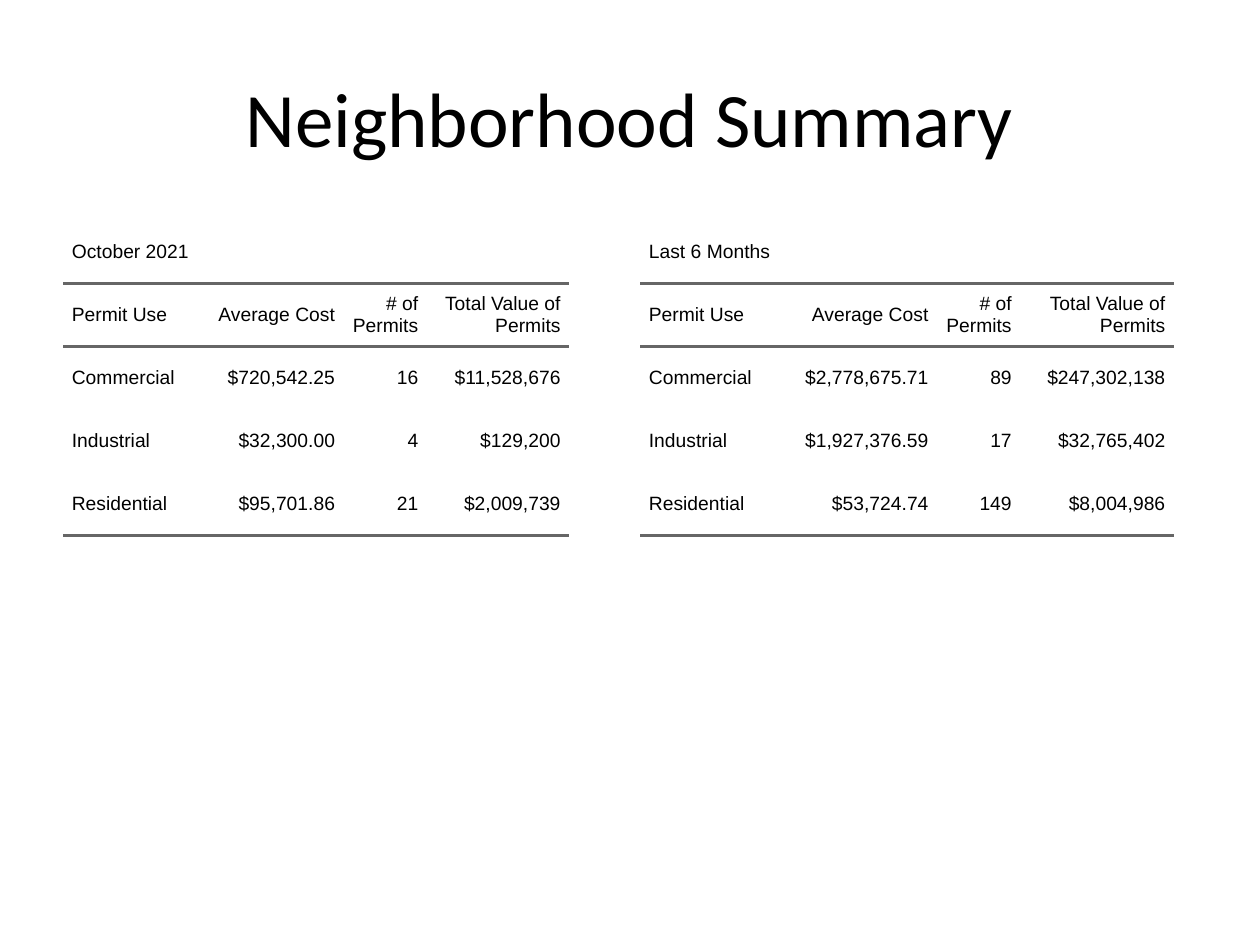
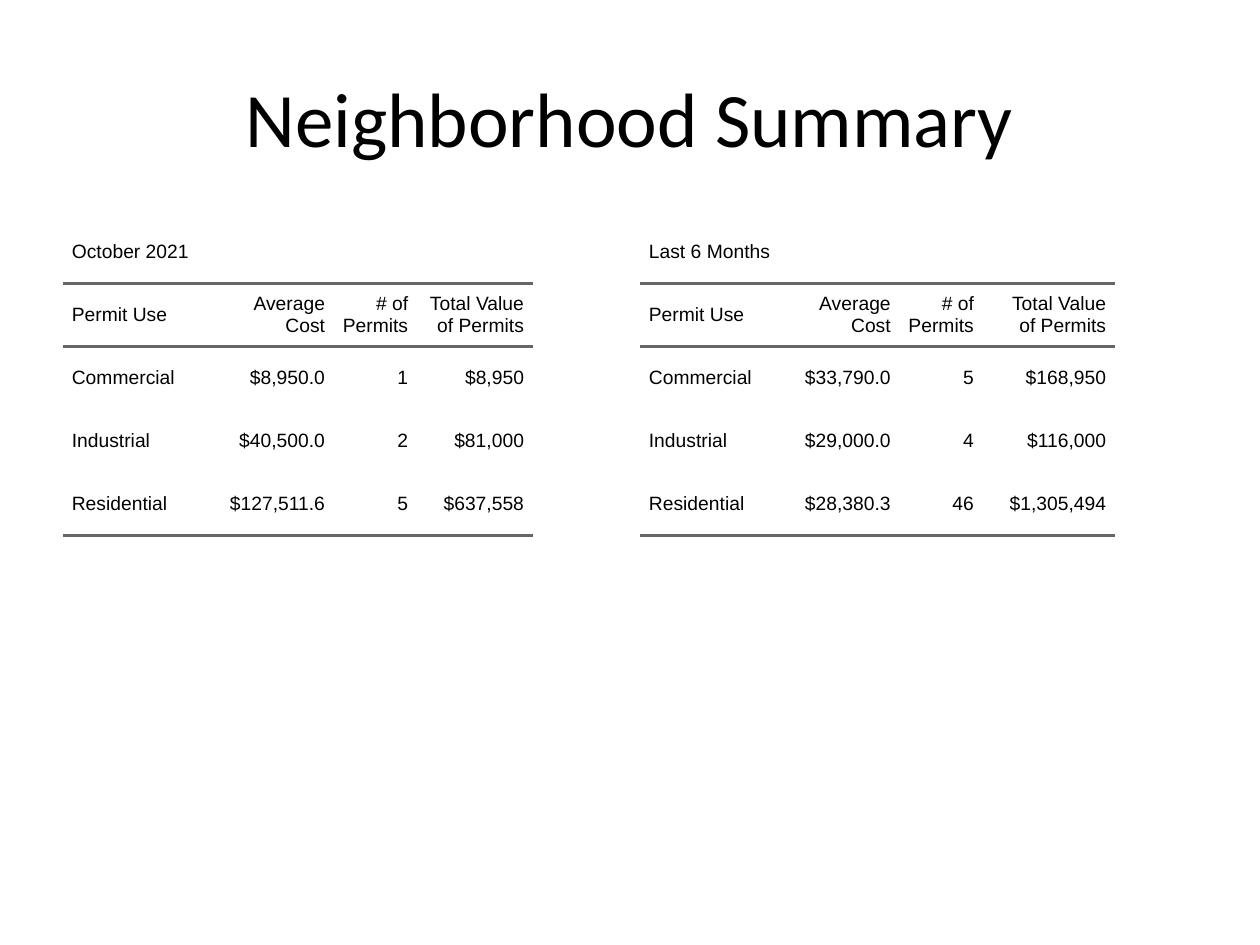
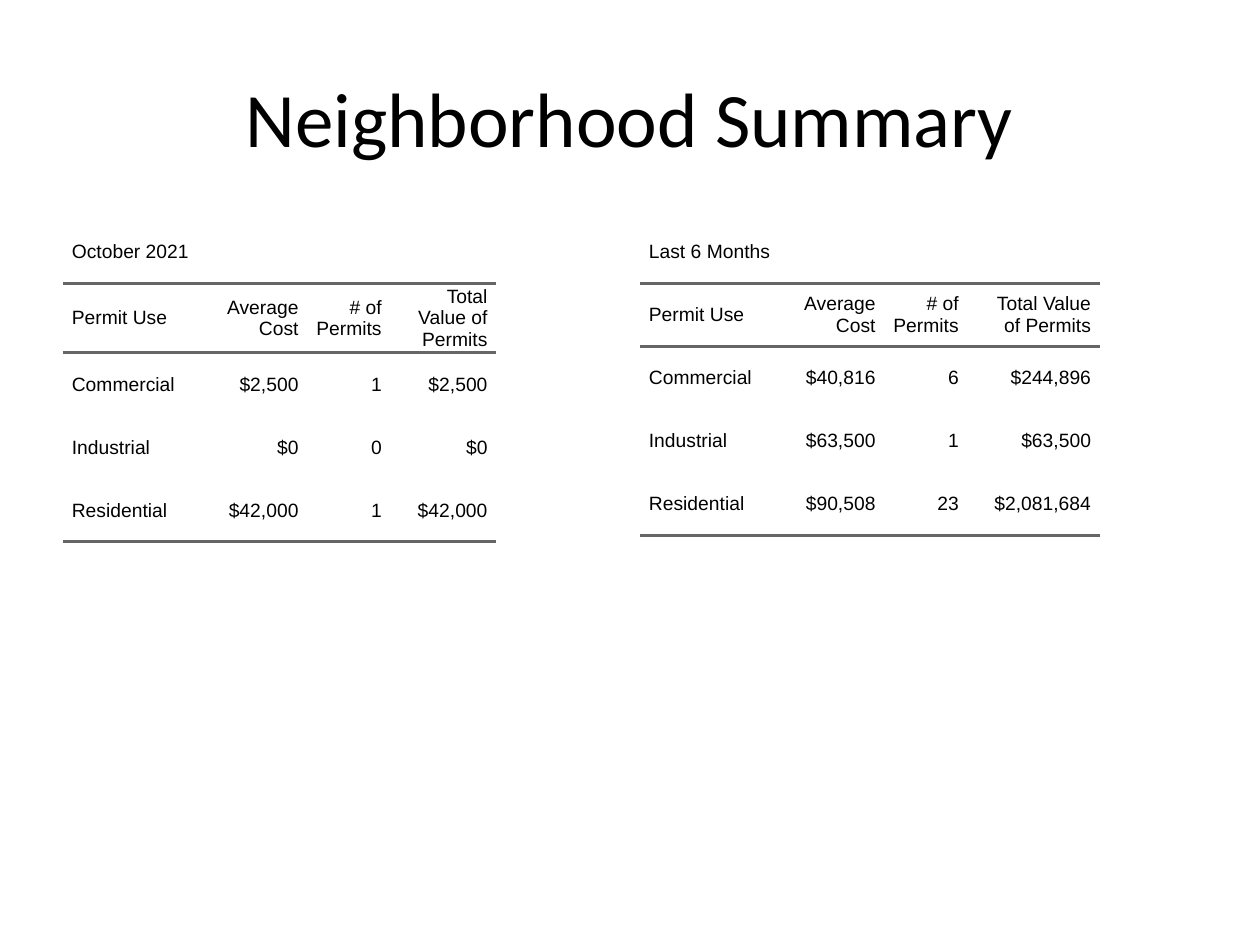
from lxml.etree import SubElement
from pptx import Presentation
from pptx.dml.color import RGBColor
from pptx.enum.text import MSO_ANCHOR as Anchor, PP_ALIGN as Align
from pptx.oxml.ns import qn
from pptx.util import Inches, Pt

COLORS = {"text": "000000", "rule": "666666"}
HEADINGS = ["Permit Use", "Average Cost", "# of Permits", "Total Value of Permits"]
USES = ["Commercial", "Industrial", "Residential"]
PERIODS = [("October 2021", 0.5), ("Last 6 Months", 5.08)]
USE_WIDTH, COUNT_WIDTH = 1.1, 0.66
ROW_HEIGHT = 0.5
NO_GRID_STYLE = "{2D5ABB26-0587-4C30-8999-92F81FD0307C}"

NEIGHBORHOODS = [
    [
        (1.13, 1.13, [("$720,542.25", "16", "$11,528,676"),
                      ("$32,300.00", "4", "$129,200"),
                      ("$95,701.86", "21", "$2,009,739")]),
        (1.26, 1.22, [("$2,778,675.71", "89", "$247,302,138"),
                      ("$1,927,376.59", "17", "$32,765,402"),
                      ("$53,724.74", "149", "$8,004,986")]),
    ],
    [
        (1.05, 0.92, [("$8,950.0", "1", "$8,950"),
                      ("$40,500.0", "2", "$81,000"),
                      ("$127,511.6", "5", "$637,558")]),
        (0.96, 1.05, [("$33,790.0", "5", "$168,950"),
                      ("$29,000.0", "4", "$116,000"),
                      ("$28,380.3", "46", "$1,305,494")]),
    ],
    [
        (0.84, 0.84, [("$2,500", "1", "$2,500"),
                      ("$0", "0", "$0"),
                      ("$42,000", "1", "$42,000")]),
        (0.84, 1.05, [("$40,816", "6", "$244,896"),
                      ("$63,500", "1", "$63,500"),
                      ("$90,508", "23", "$2,081,684")]),
    ],
]


class PermitDeck:
    def __init__(self):
        self.deck = Presentation()
        self.deck.slide_width = Inches(10)
        self.deck.slide_height = Inches(7.5)
        self.slide = None

    def add_slide(self):
        self.slide = self.deck.slides.add_slide(self.deck.slide_layouts[6])

    def style(self, paragraph, font_name, size, align):
        paragraph.alignment = align
        paragraph.font.name = font_name
        paragraph.font.size = Pt(size)
        paragraph.font.color.rgb = RGBColor.from_string(COLORS["text"])

    def title(self, text):
        box = self.slide.shapes.add_textbox(
            Inches(0.5), Inches(0.3), Inches(9), Inches(1.25))
        frame = box.text_frame
        frame.word_wrap = True
        frame.vertical_anchor = Anchor.MIDDLE
        frame.text = text
        self.style(frame.paragraphs[0], "Calibri", 44, Align.CENTER)

    def rule(self, cell, side):
        line = SubElement(cell._tc.get_or_add_tcPr(), qn(f"a:{side}"), w=str(Pt(2)))
        fill = SubElement(line, qn("a:solidFill"))
        SubElement(fill, qn("a:srgbClr"), val=COLORS["rule"])

    def cell(self, cell, text, align, sides):
        cell.margin_left = cell.margin_right = cell.margin_top = cell.margin_bottom = 0
        cell.vertical_anchor = Anchor.MIDDLE
        for side in sides:
            self.rule(cell, side)
        cell.fill.background()
        cell.text = text
        paragraph = cell.text_frame.paragraphs[0]
        indents = paragraph._p.get_or_add_pPr()
        indents.set("marL", str(Inches(0.07)))
        indents.set("marR", str(Inches(0.07)))
        self.style(paragraph, "Arial", 11, align)

    def permit_table(self, period, left, cost_width, total_width, figures):
        widths = [USE_WIDTH, cost_width, COUNT_WIDTH, total_width]
        rows = [[period, "", "", ""], HEADINGS]
        rows += [[use, *values] for use, values in zip(USES, figures)]
        table = self.slide.shapes.add_table(
            len(rows), len(widths), Inches(left), Inches(1.75),
            Inches(sum(widths)), Inches(ROW_HEIGHT * len(rows))).table
        table.first_row = table.horz_banding = False
        table._tbl.tblPr.find(qn("a:tableStyleId")).text = NO_GRID_STYLE
        for column, width in zip(table.columns, widths):
            column.width = Inches(width)
        ruled_sides = {1: ["lnT", "lnB"], len(rows) - 1: ["lnB"]}
        for row_index, row in enumerate(rows):
            for column_index, text in enumerate(row):
                self.cell(table.cell(row_index, column_index), text,
                          Align.RIGHT if column_index else Align.LEFT,
                          ruled_sides.get(row_index, []))
        table.cell(0, 0).merge(table.cell(0, len(widths) - 1))


def main():
    summary = PermitDeck()
    for neighborhood in NEIGHBORHOODS:
        summary.add_slide()
        for (period, left), permits in zip(PERIODS, neighborhood):
            summary.permit_table(period, left, *permits)
        summary.title("Neighborhood Summary")
    summary.deck.save("out.pptx")


if __name__ == "__main__":
    main()
